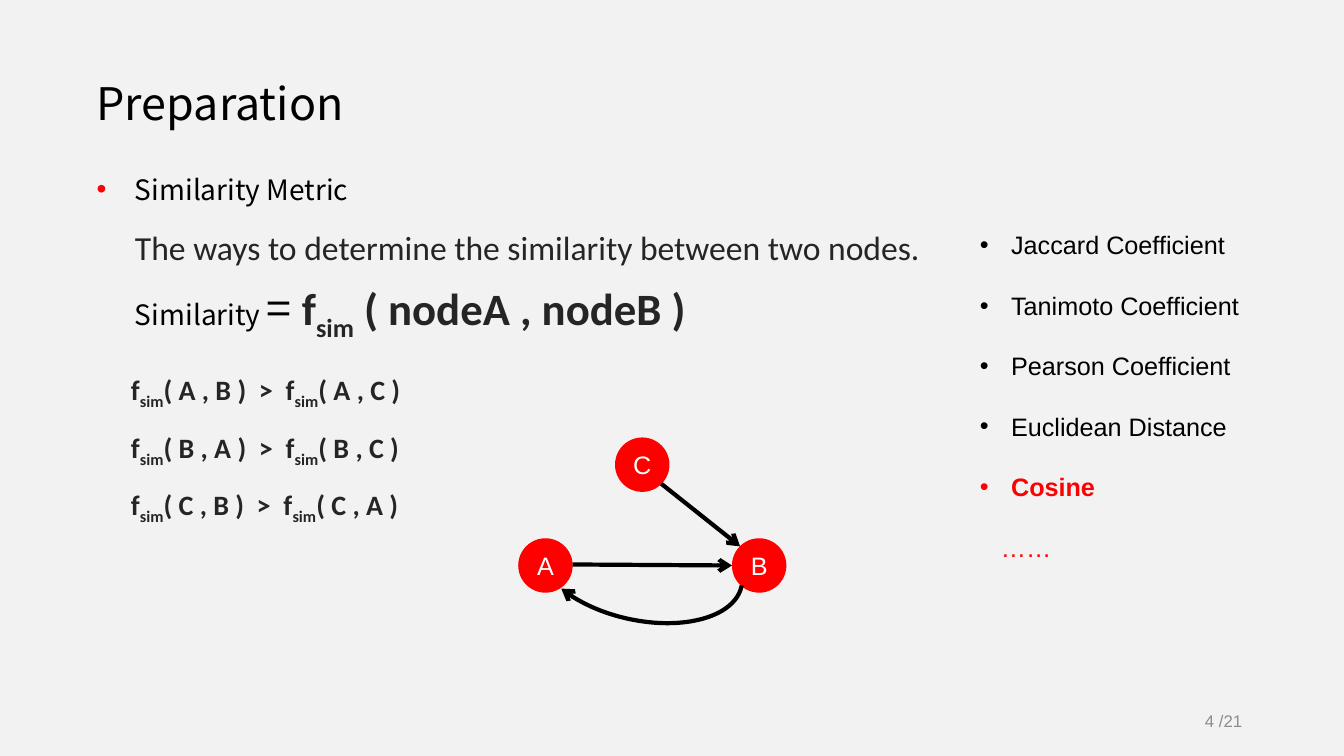
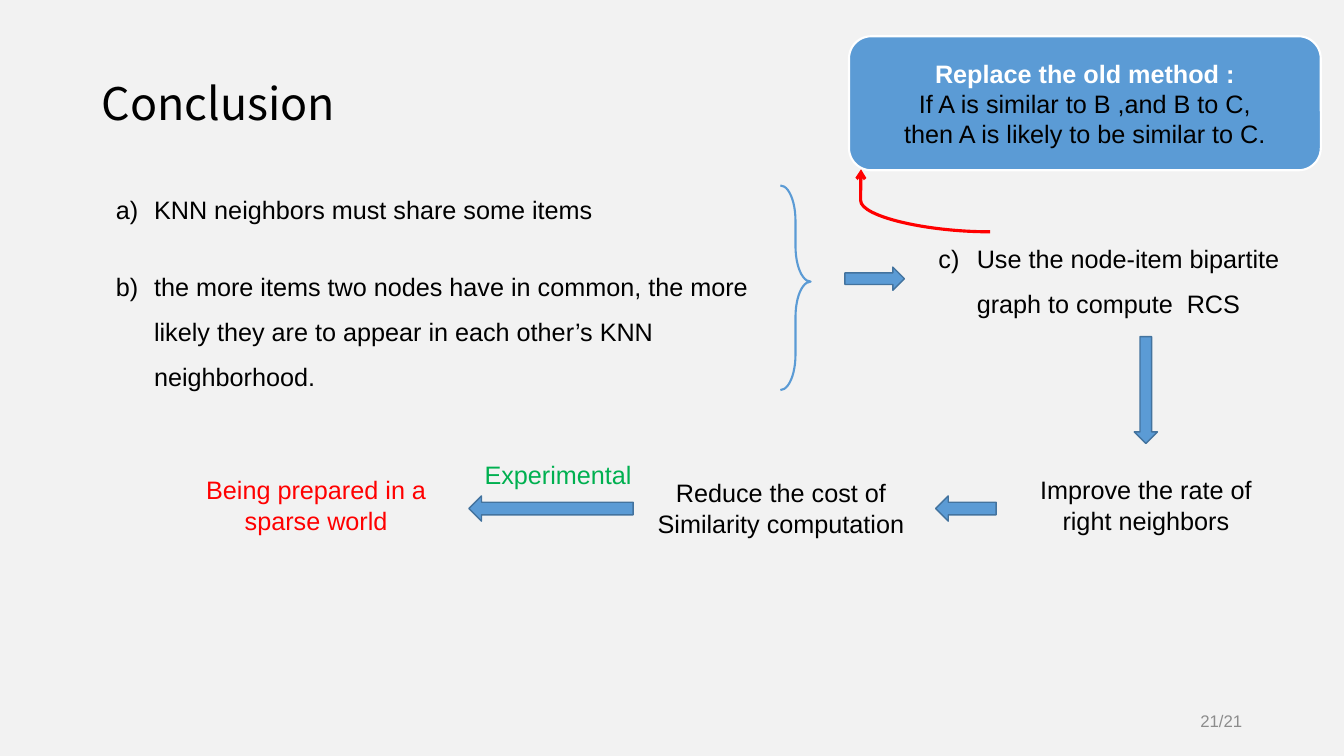
from dataclasses import dataclass

from lxml.etree import SubElement
from pptx import Presentation
from pptx.dml.color import RGBColor
from pptx.enum.shapes import MSO_CONNECTOR, MSO_SHAPE
from pptx.enum.text import MSO_ANCHOR, MSO_AUTO_SIZE, PP_ALIGN
from pptx.oxml.ns import qn
from pptx.util import Inches, Pt


@dataclass(frozen=True)
class Theme:
    background: str = "F2F2F2"
    text: str = "000000"
    soft: str = "252525"
    muted: str = "8C8C8C"
    white: str = "FFFFFF"
    red: str = "FF0000"
    green: str = "00B050"
    blue: str = "5B9BD5"
    outline: str = "43739E"
    heading_font: str = "Noto Sans CJK SC"
    body_font: str = "Arial"
    formula_font: str = "Calibri"
    title: int = 32
    lead: int = 24
    formula: int = 20
    body: int = 18
    footer: int = 12


T = Theme()


@dataclass(frozen=True)
class Run:
    text: str
    size: int = T.body
    font: str = T.body_font
    color: str = T.text
    bold: bool = False
    sub: bool = False


@dataclass(frozen=True)
class Para:
    runs: tuple
    align: PP_ALIGN = PP_ALIGN.LEFT
    spacing: float = 1.0
    margin: float = 0
    hanging: float = 0
    bullet: str = ""
    bullet_color: str = ""
    number: int = 0


def para(text, align=PP_ALIGN.LEFT, **style):
    return Para((Run(text, **style),), align)


def rgb(color):
    return RGBColor.from_string(color)


def add_bullet(p, spec):
    pPr = p._p.get_or_add_pPr()
    pPr.set("marL", str(Inches(spec.margin)))
    pPr.set("indent", str(Inches(-spec.hanging)))
    if spec.bullet_color:
        color = SubElement(pPr, qn("a:buClr"))
        SubElement(color, qn("a:srgbClr"), val=spec.bullet_color)
    if spec.bullet:
        SubElement(pPr, qn("a:buFont"), typeface=T.body_font)
        SubElement(pPr, qn("a:buChar"), char=spec.bullet)
    if spec.number:
        SubElement(pPr, qn("a:buAutoNum"), type="alphaLcParenR", startAt=str(spec.number))


def write(tf, paras):
    for i, spec in enumerate(paras):
        p = tf.add_paragraph() if i else tf.paragraphs[0]
        p.alignment = spec.align
        p.line_spacing = spec.spacing
        if spec.margin:
            add_bullet(p, spec)
        for run in spec.runs:
            r = p.add_run()
            r.text = run.text
            r.font.size = Pt(run.size)
            r.font.name = run.font
            r.font.bold = run.bold
            r.font.color.rgb = rgb(run.color)
            if run.sub:
                r._r.get_or_add_rPr().set("baseline", "-25000")


def add_text(s, box, *paras, wrap=True, anchor=MSO_ANCHOR.TOP):
    tf = s.shapes.add_textbox(*map(Inches, box)).text_frame
    tf.word_wrap = wrap
    tf.vertical_anchor = anchor
    if anchor == MSO_ANCHOR.TOP:
        tf.auto_size = MSO_AUTO_SIZE.SHAPE_TO_FIT_TEXT
    write(tf, paras)


def add_shape(s, kind, box, fill=None, line=None, width=1, paras=()):
    sp = s.shapes.add_shape(kind, *map(Inches, box))
    sp.shadow.inherit = False
    if fill:
        sp.fill.solid()
        sp.fill.fore_color.rgb = rgb(fill)
    else:
        sp.fill.background()
    if line:
        sp.line.color.rgb = rgb(line)
        sp.line.width = Pt(width)
    else:
        sp.line.fill.background()
    if paras:
        sp.text_frame.vertical_anchor = MSO_ANCHOR.MIDDLE
        write(sp.text_frame, paras)
    return sp


def add_arrowhead(line, end):
    SubElement(line._get_or_add_ln(), qn(f"a:{end}"), type="arrow")


def add_arrow(s, kind, start, end, color, width):
    cn = s.shapes.add_connector(kind, *map(Inches, start + end))
    cn.line.color.rgb = rgb(color)
    cn.line.width = Pt(width)
    add_arrowhead(cn.line, "tailEnd")
    SubElement(cn._element.spPr, qn("a:effectLst"))
    return cn


def add_block_arrow(s, kind, box, rotation=0):
    add_shape(s, kind, box, T.blue, T.outline).rotation = rotation


def add_node(s, name, left, top):
    label = para(name, PP_ALIGN.CENTER, color=T.white)
    add_shape(s, MSO_SHAPE.OVAL, (left, top, 0.54, 0.54), T.red, paras=[label])


def add_return_arc(s):
    arc = add_shape(s, MSO_SHAPE.ARC, (5.3, 5.03, 2.08, 1.12), line=T.text, width=3)
    arc.adjustments[0] = 126.42
    arc.adjustments[1] = 0.39
    arc.rotation = 12.8
    arc._element.spPr.find(qn("a:xfrm")).set("flipV", "1")
    add_arrowhead(arc.line, "headEnd")


def comparison(near, far):
    def part(text, sub=False):
        return Run(text, T.formula, T.formula_font, T.soft, True, sub)

    runs = (part("f"), part("sim", True), part(f"( {near} )  >  f"),
            part("sim", True), part(f"( {far} )"))
    return Para(runs, spacing=1.5)


def add_lettered(s, box, number, text):
    add_text(s, box, Para((Run(text),), spacing=1.5, margin=0.38, hanging=0.38, number=number))


def add_slide(prs, title, left, page):
    s = prs.slides.add_slide(prs.slide_layouts[6])
    add_text(s, (left, 0.7, 3.6, 0.64), para(title, size=T.title, font=T.heading_font))
    add_text(s, (11.62, 6.95, 0.8, 0.4),
             para(page, PP_ALIGN.RIGHT, size=T.footer, color=T.muted), anchor=MSO_ANCHOR.MIDDLE)
    return s


def add_metrics(s):
    metrics = [Run(f"{name} Coefficient") for name in ("Jaccard", "Tanimoto", "Pearson")]
    metrics += [Run("Euclidean Distance"), Run("Cosine", color=T.red, bold=True)]
    paras = [Para((m,), spacing=2, margin=0.31, hanging=0.31, bullet="•") for m in metrics]
    more = Para((Run("……", color=T.red),), spacing=2, margin=0.21)
    add_text(s, (9.62, 1.93, 2.8, 3.74), *paras, more, wrap=False)


def add_formula(s):
    def part(text, sub=False):
        return Run(text, T.title, T.formula_font, T.soft, True, sub)

    runs = (Run("Similarity ", T.formula, T.heading_font), Run("= ", T.title, T.heading_font),
            part("f"), part("sim", True), part(" ( nodeA , nodeB )"))
    add_text(s, (1.24, 2.74, 5.99, 0.64), Para(runs), wrap=False)


def add_graph(s):
    for name, left, top in (("C", 6.1, 4.34), ("B", 7.26, 5.34), ("A", 5.14, 5.34)):
        add_node(s, name, left, top)
    for start, end in (((6.56, 4.8), (7.34, 5.42)), ((5.68, 5.6), (7.26, 5.61))):
        add_arrow(s, MSO_CONNECTOR.STRAIGHT, start, end, T.text, 3)
    add_return_arc(s)


def build_preparation(prs):
    s = add_slide(prs, "Preparation", 0.86, "4 /21")
    heading = Run("Similarity Metric", T.formula, T.heading_font)
    add_text(s, (0.86, 1.66, 5.78, 0.44),
             Para((heading,), margin=0.38, hanging=0.38, bullet="•", bullet_color=T.red))
    add_text(s, (1.24, 2.2, 8.06, 0.5),
             para("The ways to determine the similarity between two nodes.",
                  size=T.lead, font=T.formula_font, color=T.soft), wrap=False)
    add_formula(s)
    pairs = (("A , B", "A , C"), ("B , A", "B , C"), ("C , B", "C , A"))
    add_text(s, (1.2, 3.46, 3.08, 1.62), *(comparison(*pair) for pair in pairs))
    add_metrics(s)
    add_graph(s)


def add_callout(s):
    lines = [para("Replace the old method :", PP_ALIGN.CENTER, color=T.white, bold=True),
             para("If A is similar to B ,and B to C,", PP_ALIGN.CENTER),
             para("then A is likely to be similar to C.", PP_ALIGN.CENTER)]
    add_shape(s, MSO_SHAPE.ROUNDED_RECTANGLE, (8.42, 0.36, 4.68, 1.33),
              T.blue, T.white, 1.5, lines)
    curve = add_arrow(s, MSO_CONNECTOR.CURVE, (9.82, 2.3), (8.54, 1.68), T.red, 2.25)
    guides = curve._element.spPr.find(qn("a:prstGeom")).find(qn("a:avLst"))
    SubElement(guides, qn("a:gd"), name="adj1", fmla="val 100300")


def build_conclusion(prs):
    s = add_slide(prs, "Conclusion", 0.91, "21/21")
    add_lettered(s, (1.05, 1.73, 5.04, 0.56), 1, "KNN neighbors must share some items")
    add_lettered(s, (1.05, 2.49, 6.67, 1.46), 2,
                 "the more items two nodes have in common, the more likely they are "
                 "to appear in each other’s KNN neighborhood.")
    add_lettered(s, (9.21, 2.21, 3.77, 1.01), 3,
                 "Use the node-item bipartite graph to compute  RCS")
    brace = add_shape(s, MSO_SHAPE.RIGHT_BRACE, (7.74, 1.84, 0.3, 2.03), line=T.blue, width=1.5)
    brace.adjustments[0] = 1.17
    brace.adjustments[1] = 0.47
    add_block_arrow(s, MSO_SHAPE.RIGHT_ARROW, (8.38, 2.65, 0.59, 0.23))
    add_block_arrow(s, MSO_SHAPE.DOWN_ARROW, (11.25, 3.34, 0.23, 1.06))
    for left, width in ((9.28, 0.6), (4.65, 1.63)):
        add_block_arrow(s, MSO_SHAPE.RIGHT_ARROW, (left, 4.92, width, 0.25), 180)
    add_callout(s)
    steps = (
        ((10.04, 4.66, 2.65, 0.71), "Improve the rate of right neighbors", T.text),
        ((6.3, 4.69, 2.89, 0.71), "Reduce the cost of Similarity computation", T.text),
        ((4.49, 4.51, 2.09, 0.4), "Experimental", T.green),
        ((1.69, 4.66, 2.89, 0.71), "Being prepared in a sparse world", T.red),
    )
    for box, text, color in steps:
        add_text(s, box, para(text, PP_ALIGN.CENTER, color=color))


def main():
    prs = Presentation()
    prs.slide_width, prs.slide_height = Inches(13.33), Inches(7.5)
    fill = prs.slide_master.background.fill
    fill.solid()
    fill.fore_color.rgb = rgb(T.background)
    build_preparation(prs)
    build_conclusion(prs)
    prs.save("out.pptx")


if __name__ == "__main__":
    main()
